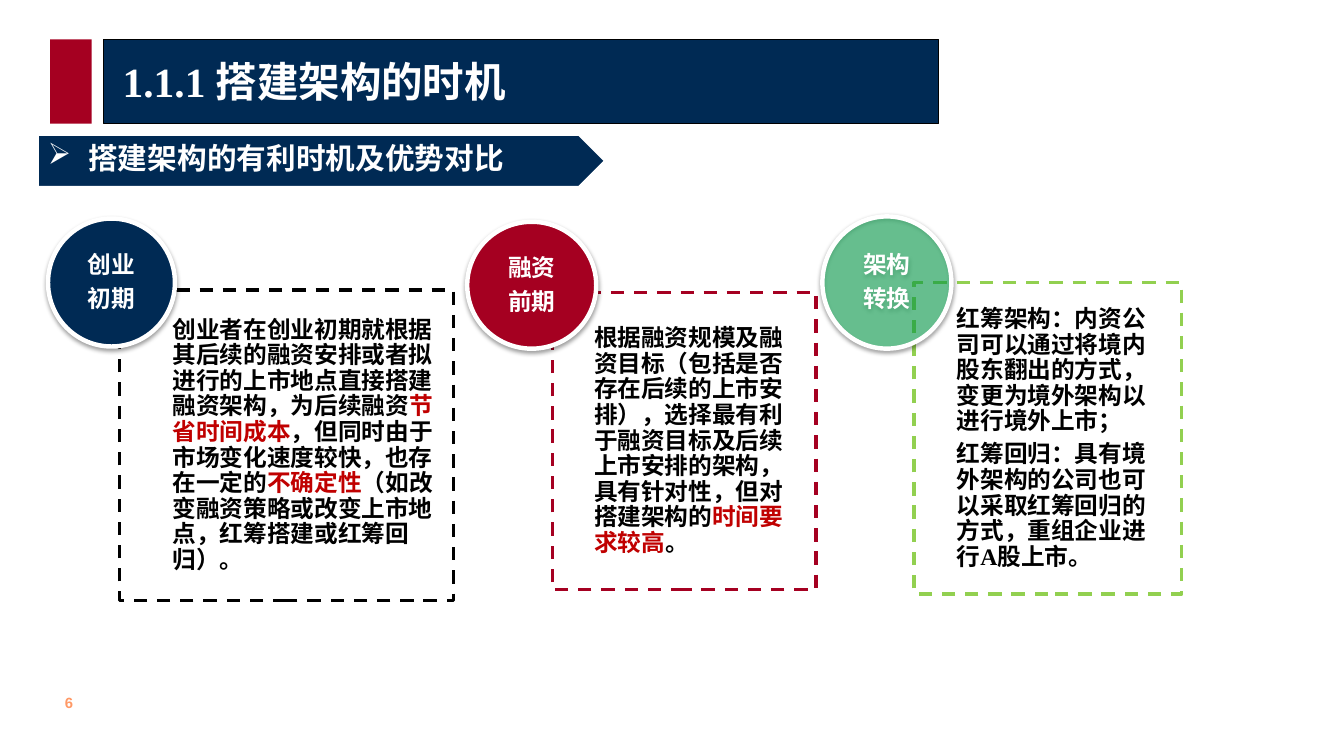
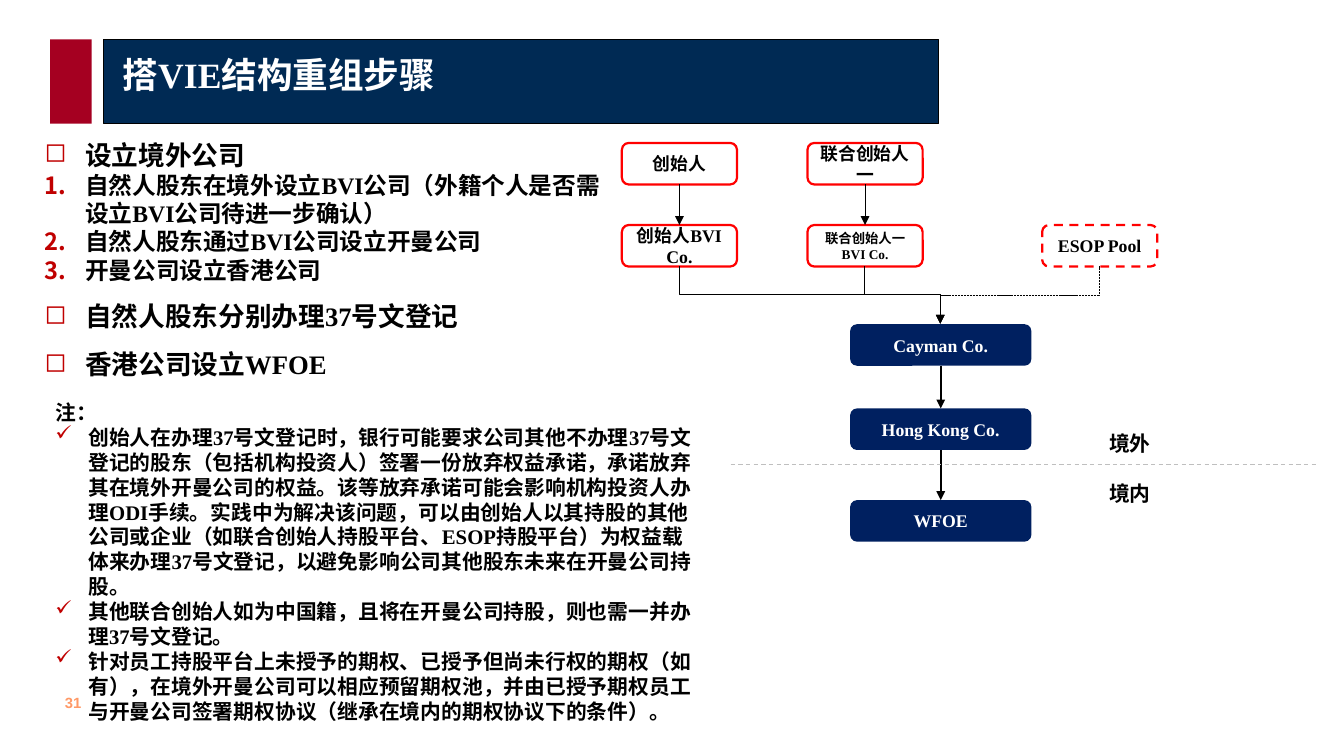
from lxml import etree
from pptx import Presentation
from pptx import util as u
from pptx.dml.color import RGBColor
from pptx.enum import dml, shapes, text
from pptx.oxml.ns import qn

PX = 9144  # 100 px to the inch
NAVY = RGBColor(0x00, 0x2A, 0x54)
DEEP_BLUE = RGBColor(0x00, 0x20, 0x60)
CRIMSON = RGBColor(0xA5, 0x00, 0x21)
ACCENT = RGBColor(0xC0, 0x00, 0x00)
RED = RGBColor(0xFF, 0x00, 0x00)
GREEN = RGBColor(0x00, 0xB0, 0x50)
LIME = RGBColor(0x92, 0xD0, 0x50)
ORANGE = RGBColor(0xFF, 0x99, 0x66)
GREY = RGBColor(0xBF, 0xBF, 0xBF)
BLACK = RGBColor(0, 0, 0)
WHITE = RGBColor(0xFF, 0xFF, 0xFF)
SERIF, SANS, HAN = "Times New Roman", "Arial", "Noto Sans CJK SC"
SHAPE = shapes.MSO_SHAPE
DASH = dml.MSO_LINE.DASH
CENTER = text.PP_ALIGN.CENTER
MIDDLE, TOP = text.MSO_ANCHOR.MIDDLE, text.MSO_ANCHOR.TOP


def px(*lengths):
    return [u.Emu(length * PX) for length in lengths]


def sub(parent, tag, **attributes):
    return etree.SubElement(parent, qn(tag), **attributes)


def add_bullet(paragraph, bullet, color, indent):
    props = paragraph._p.get_or_add_pPr()
    props.set("marL", str(indent * PX))
    props.set("indent", str(-indent * PX))
    sub(sub(props, "a:buClr"), "a:srgbClr", val=str(color))
    if bullet == "1.":
        sub(props, "a:buAutoNum", type="arabicPeriod")
    else:
        sub(props, "a:buChar", char=bullet)


def write(frame, lines, size, color=BLACK, font=SERIF, align=None, pitch=1.2,
          after=None, bullet=None, bullet_color=ACCENT, indent=38):
    """Add lines to a frame; a line is a string or a list of (words, color)."""
    for line in lines:
        paragraph = frame.add_paragraph() if frame.text else frame.paragraphs[0]
        paragraph.alignment = align
        if pitch:
            paragraph.line_spacing = u.Pt(round(size * pitch, 1))
        if after:
            paragraph.space_after = u.Pt(after)
        if bullet:
            add_bullet(paragraph, bullet, bullet_color, indent)
        style = paragraph.font
        style.size, style.bold, style.name = u.Pt(size), True, font
        style.color.rgb = color
        sub(style._rPr, "a:ea", typeface=HAN)
        for words, tint in [(line, None)] if isinstance(line, str) else line:
            run = paragraph.add_run()
            run.text = words
            if tint is not None:
                run.font.color.rgb = tint


def set_frame(frame, anchor=TOP, insets=(10, 5, 10, 5), wrap=True):
    frame.word_wrap = wrap
    frame.auto_size = text.MSO_AUTO_SIZE.NONE
    frame.vertical_anchor = anchor
    (frame.margin_left, frame.margin_top,
     frame.margin_right, frame.margin_bottom) = px(*insets)
    return frame


def add_box(slide, kind, box, fill=None, line=None, width=1, dash=None):
    shape = slide.shapes.add_shape(kind, *px(*box))
    shape.shadow.inherit = False
    if fill is None:
        shape.fill.background()
    else:
        shape.fill.solid()
        shape.fill.fore_color.rgb = fill
    if line is None:
        shape.line.fill.background()
    else:
        shape.line.color.rgb = line
        shape.line.width = u.Pt(width)
        shape.line.dash_style = dash
    return shape


def add_label(slide, box, lines, size, wrap=True, **style):
    label = slide.shapes.add_textbox(*px(*box))
    write(set_frame(label.text_frame, wrap=wrap), lines, size, **style)


def style_line(connector, width, color=BLACK, dash=None, arrow=True):
    connector.line.color.rgb = color
    connector.line.width = u.Pt(width)
    connector.line.dash_style = dash
    if arrow:
        sub(connector.line._get_or_add_ln(), "a:tailEnd", type="triangle")
    sub(connector._element.spPr, "a:effectLst")


def add_arrow(slide, upper, lower, width):
    arrow = slide.shapes.add_connector(shapes.MSO_CONNECTOR.STRAIGHT, 0, 0, 0, 0)
    arrow.begin_connect(upper, 2)
    arrow.end_connect(lower, 0)
    style_line(arrow, width)


def add_elbow(slide, start, end, width, dash=None):
    """Down, across and down again: a turned elbow connector."""
    (x1, y1), (x2, y2) = start, end
    drop, run = y2 - y1, abs(x2 - x1)
    left, top = (x1 + x2 - drop) // 2, (y1 + y2 - run) // 2
    elbow = slide.shapes.add_connector(
        shapes.MSO_CONNECTOR.ELBOW, *px(left, top, left + drop, top + run))
    frame = elbow._element.spPr.find(qn("a:xfrm"))
    frame.set("rot", str((270 if x2 > x1 else 90) * 60000))
    if x2 > x1:
        frame.set("flipH", "1")
    style_line(elbow, width, dash=dash)


def new_slide(deck, title, size, number, title_top):
    """Title band, red block and page number shared by all slides."""
    slide = deck.slides.add_slide(deck.slide_layouts[5])
    add_box(slide, SHAPE.RECTANGLE, (97, 37, 783, 79), NAVY, BLACK)
    add_box(slide, SHAPE.RECTANGLE, (47, 37, 39, 79), CRIMSON)
    add_label(slide, (51, 646, 37, 27), [number], 10, wrap=False,
              color=ORANGE, font=SANS)
    heading = slide.shapes.title
    heading.left, heading.top, heading.width, heading.height = px(105, title_top, 767, 75)
    write(set_frame(heading.text_frame, MIDDLE), [title], size, WHITE,
          align=text.PP_ALIGN.LEFT, pitch=None)
    slide.shapes._spTree.append(heading._element)  # in front of the band
    return slide


def add_stage(slide, box, inset, border, circle, fill, name, lines, font,
              opacity=None):
    """Dashed box of text with a round badge on its corner."""
    panel = add_box(slide, SHAPE.RECTANGLE, box, line=border, width=2.25, dash=DASH)
    write(set_frame(panel.text_frame, MIDDLE, (inset, 12, 12, 12)), lines, 16,
          font=font, align=text.PP_ALIGN.LEFT, pitch=1.08, after=5)
    badge = add_box(slide, SHAPE.OVAL, circle, fill, WHITE, 3)
    props = badge._element.spPr
    if opacity:
        sub(props.find(".//" + qn("a:srgbClr")), "a:alpha", val=str(opacity * 1000))
    shadow = sub(props.find(qn("a:effectLst")), "a:outerShdw", blurRad="39370",
                 dist="20320", dir="5400000", rotWithShape="0")
    sub(sub(shadow, "a:srgbClr", val="000000"), "a:alpha", val="38000")
    write(set_frame(badge.text_frame, MIDDLE, (0, 0, 0, 0)), name, 16, WHITE,
          SANS, CENTER, pitch=1.08, after=5.6)


def timing_slide(deck):
    slide = new_slide(deck, "1.1.1 搭建架构的时机", 28, "6", 38)
    add_stage(slide, (112, 272, 313, 291), 50, BLACK, (45, 205, 119, 120), NAVY,
              ["创业", "初期"],
              [[("创业者在创业初期就根据其后续的融资安排或者拟进行的上市地点直接搭建融资架构，为后续融资", None),
                ("节省时间成本", ACCENT),
                ("，但同时由于市场变化速度较快，也存在一定的", None),
                ("不确定性", ACCENT),
                ("（如改变融资策略或改变上市地点，红筹搭建或红筹回归）。", None)]], SANS)
    add_stage(slide, (518, 274, 247, 279), 39, CRIMSON, (438, 208, 121, 119), CRIMSON,
              ["融资", "前期"],
              [[("根据融资规模及融资目标（包括是否存在后续的上市安排），选择最有利于融资目标及后续上市安排的架构，具有针对性，但对搭建架构的", None),
                ("时间要求较高", ACCENT), ("。", None)]], SANS)
    add_stage(slide, (857, 265, 251, 292), 40, LIME, (771, 203, 121, 124), GREEN,
              ["架构", "转换"],
              ["红筹架构：内资公司可以通过将境内股东翻出的方式，变更为境外架构以进行境外上市；",
               "红筹回归：具有境外架构的公司也可以采取红筹回归的方式，重组企业进行A股上市。"],
              SERIF, opacity=50)
    # Subheading
    banner = add_box(slide, SHAPE.PENTAGON, (35, 126, 533, 50), NAVY, WHITE, 2.25)
    write(set_frame(banner.text_frame), ["搭建架构的有利时机及优势对比"], 20, WHITE,
          align=text.PP_ALIGN.LEFT, bullet="➢", bullet_color=WHITE)


def add_steps(slide, box):
    steps = set_frame(slide.shapes.add_textbox(*px(*box)).text_frame)
    write(steps, ["设立境外公司"], 18, pitch=1.8, bullet="◻")
    write(steps, ["自然人股东在境外设立BVI公司（外籍个人是否需设立BVI公司待进一步确认）",
                  "自然人股东通过BVI公司设立开曼公司",
                  "开曼公司设立香港公司"], 16, bullet="1.")
    write(steps, ["自然人股东分别办理37号文登记", "香港公司设立WFOE"], 18,
          pitch=1.8, bullet="◻")


def add_remarks(slide, box):
    remarks = set_frame(slide.shapes.add_textbox(*px(*box)).text_frame)
    write(remarks, ["注："], 14)
    write(remarks, [
        "创始人在办理37号文登记时，银行可能要求公司其他不办理37号文登记的股东（包括机构投资人）签署一份放弃权益承诺，承诺放弃其在境外开曼公司的权益。该等放弃承诺可能会影响机构投资人办理ODI手续。实践中为解决该问题，可以由创始人以其持股的其他公司或企业（如联合创始人持股平台、ESOP持股平台）为权益载体来办理37号文登记，以避免影响公司其他股东未来在开曼公司持股。",
        "其他联合创始人如为中国籍，且将在开曼公司持股，则也需一并办理37号文登记。",
        "针对员工持股平台上未授予的期权、已授予但尚未行权的期权（如有），在境外开曼公司可以相应预留期权池，并由已授予期权员工与开曼公司签署期权协议（继承在境内的期权协议下的条件）。",
    ], 14, bullet="✓", indent=31)


def add_structure(slide, left, top):
    """Shareholding chart, laid out from its top left corner."""
    box_w, box_h, company_w = 108, 39, 170

    def holder(x, y, lines, size=12, dash=None):
        node = add_box(slide, SHAPE.ROUNDED_RECTANGLE, (left + x, top + y, box_w, box_h),
                       WHITE, RED, 1.5, dash)
        write(set_frame(node.text_frame, MIDDLE), lines, size, align=CENTER)
        return node

    def company(y, name):
        node = add_box(slide, SHAPE.ROUNDED_RECTANGLE,
                       (left + 214, top + y, company_w, box_h), DEEP_BLUE)
        write(set_frame(node.text_frame, MIDDLE), [name], 12, WHITE, align=CENTER)
        return node

    # Founders and their holding companies
    vehicle_y, cayman_y = 77, 170
    for x, founder, vehicle, size in [
            (0, "创始人", ["创始人BVI Co."], 12),
            (174, "联合创始人一", ["联合创始人一", "BVI Co."], 9)]:
        add_arrow(slide, holder(x, 0, [founder]),
                  holder(x, vehicle_y, vehicle, size), 0.5)
    holder(394, vehicle_y, ["ESOP Pool"], dash=DASH)

    # Chain of companies
    chain = [company(y, name) for y, name in [
        (cayman_y, "Cayman Co."), (249, "Hong Kong Co."), (335, "WFOE")]]
    for upper, lower in zip(chain, chain[1:]):
        add_arrow(slide, upper, lower, 1.5)

    # Holdings in the Cayman company
    target = (left + 214 + company_w // 2, top + cayman_y)
    for x, width, dash in [(0, 0.5, None), (174, 0.5, None),
                           (394, 0.25, dml.MSO_LINE.SQUARE_DOT)]:
        start = (left + x + box_w // 2, top + vehicle_y + box_h)
        add_elbow(slide, start, target, width, dash)

    # Border between offshore and onshore
    border_y = top + 302
    border = slide.shapes.add_connector(
        shapes.MSO_CONNECTOR.STRAIGHT, *px(left + 102, border_y, left + 653, border_y))
    style_line(border, 0.75, GREY, DASH, arrow=False)
    for y, side in [(265, "境外"), (312, "境内")]:
        add_label(slide, (left + 447, top + y, 122, 34), [side], 14)


def restructuring_slide(deck):
    slide = new_slide(deck, "搭VIE结构重组步骤", 24, "31", 32)
    add_structure(slide, 583, 134)
    add_steps(slide, (32, 110, 551, 254))
    add_remarks(slide, (42, 370, 620, 316))


def main():
    deck = Presentation()
    deck.slide_width, deck.slide_height = px(1260, 709)
    timing_slide(deck)
    restructuring_slide(deck)
    deck.save("out.pptx")


if __name__ == "__main__":
    main()
